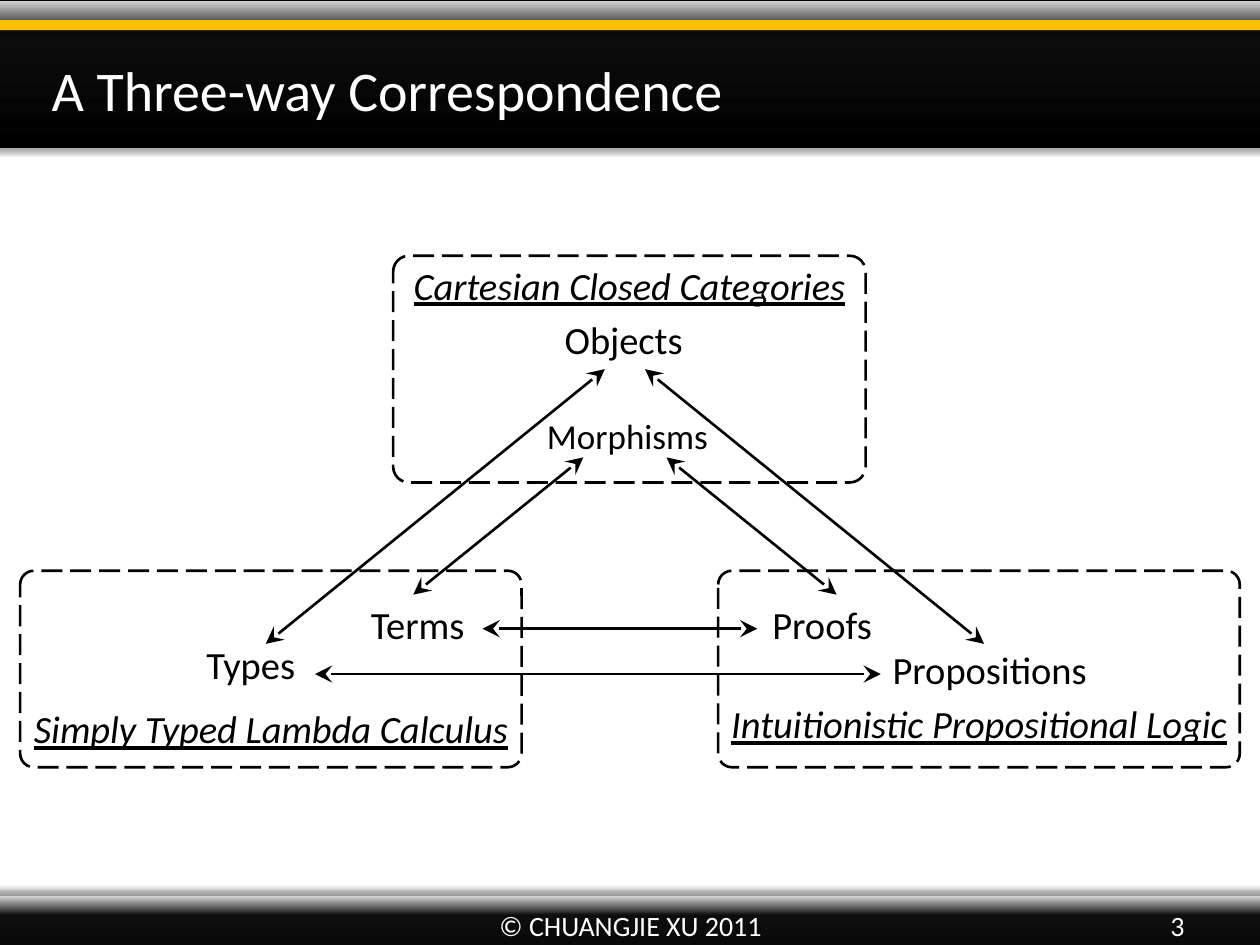
"""Build the slide that links categories, lambda calculus and logic."""
import copy

import pptx
import pptx.dml.color
import pptx.enum.dml
import pptx.enum.shapes
import pptx.enum.text
import pptx.oxml
import pptx.oxml.ns
import pptx.util

PX = 9144
BLACK = pptx.dml.color.RGBColor(0x00, 0x00, 0x00)
CHARCOAL = pptx.dml.color.RGBColor(0x0D, 0x0D, 0x0D)
SILVER = pptx.dml.color.RGBColor(0xD9, 0xD9, 0xD9)
GOLD = pptx.dml.color.RGBColor(0xFF, 0xC0, 0x00)
WHITE = pptx.dml.color.RGBColor(0xFF, 0xFF, 0xFF)
ALIGN = pptx.enum.text.PP_ALIGN
ANCHOR = pptx.enum.text.MSO_ANCHOR
SHAPE = pptx.enum.shapes.MSO_SHAPE
qn = pptx.oxml.ns.qn


def scaled(*lengths):
    return [length * PX for length in lengths]


def write(box, text, size, color, align, anchor=ANCHOR.TOP, wrap=True):
    frame = box.text_frame
    frame.text = text
    frame.word_wrap = wrap
    frame.auto_size = pptx.enum.text.MSO_AUTO_SIZE.NONE
    frame.vertical_anchor = anchor
    para = frame.paragraphs[0]
    para.alignment = align
    span = para.runs[0]
    span.font.name = "Calibri"
    span.font.size = pptx.util.Pt(size)
    span.font.color.rgb = color
    return span


deck = pptx.Presentation()
deck.slide_width, deck.slide_height = scaled(1000, 750)
page = deck.slides.add_slide(deck.slide_layouts[5])
shapes = page.shapes

bars = [
    ((-8, 0, 1016, 117), None, True, (35, 3.1, 1.8, 90)),
    ((-23, 16, 1039, 8), GOLD, False, (35, 3.1, 1.8, 90)),
    ((-8, 711, 1016, 70), None, False, (40, 4, 3, 270)),
]
for place, color, outlined, (opacity, blur, distance, angle) in bars:
    bar = shapes.add_shape(SHAPE.RECTANGLE, *scaled(*place))
    if color is not None:
        bar.fill.solid()
        bar.fill.fore_color.rgb = color
    else:
        bar.fill.gradient()
        bar.fill.gradient_angle = 270
        stop_list = bar._element.spPr.find(".//" + qn("a:gsLst"))
        stop_list.append(copy.deepcopy(stop_list[-1]))
        ramp = [(0, SILVER), (0.22, CHARCOAL), (1, BLACK)]
        for stop, (position, shade) in zip(bar.fill.gradient_stops, ramp):
            stop.position = position
            stop.color.rgb = shade
    if outlined:
        bar.line.color.rgb = BLACK
        bar.line.width = pptx.util.Pt(0.75)
    else:
        bar.line.fill.background()
    bar.shadow.inherit = False
    bar._element.spPr.find(qn("a:effectLst")).append(pptx.oxml.parse_xml(
        f'<a:outerShdw {pptx.oxml.ns.nsdecls("a")} blurRad="{pptx.util.Pt(blur)}" '
        f'dist="{pptx.util.Pt(distance)}" dir="{angle * 60000}" rotWithShape="0">'
        f'<a:srgbClr val="{BLACK}"><a:alpha val="{opacity * 1000}"/></a:srgbClr>'
        '</a:outerShdw>'))

title = shapes.title
title.left, title.top, title.width, title.height = scaled(31, 39, 734, 64)
write(title, "A Three-way Correspondence", 32, WHITE, ALIGN.LEFT)
title._element.getparent().append(title._element)

footers = [
    ("3", (717, 714, 233, 40), ALIGN.RIGHT),
    ("© CHUANGJIE XU 2011", (342, 714, 317, 40), ALIGN.CENTER),
]
for text, place, align in footers:
    box = shapes.add_textbox(*scaled(*place))
    write(box, text, 16, WHITE, align, ANCHOR.MIDDLE)

theories = [
    ("Cartesian Closed Categories", (312, 203, 375, 180), 203),
    ("Simply Typed Lambda Calculus", (16, 453, 398, 156), 555),
    ("Intuitionistic Propositional Logic", (570, 453, 414, 156), 551),
]
for name, place, heading_top in theories:
    frame = shapes.add_shape(SHAPE.ROUNDED_RECTANGLE, *scaled(*place))
    frame.adjustments[0] = 0.07
    frame.fill.background()
    frame.line.color.rgb = BLACK
    frame.line.width = pptx.util.Pt(1.5)
    frame.line.dash_style = pptx.enum.dml.MSO_LINE.LONG_DASH
    frame.shadow.inherit = False
    heading = shapes.add_textbox(*scaled(place[0], heading_top, place[2], 47))
    span = write(heading, name, 22, BLACK, ALIGN.CENTER, wrap=False)
    span.font.italic = True
    span.font.underline = True

concepts = [
    ("Objects", (430, 246, 130, 47), 22),
    ("Morphisms", (412, 324, 172, 44), 20),
    ("Types", (148, 504, 102, 47), 22),
    ("Terms", (273, 472, 117, 47), 22),
    ("Proofs", (594, 472, 117, 47), 22),
    ("Propositions", (688, 508, 195, 47), 22),
]
for name, place, size in concepts:
    box = shapes.add_textbox(*scaled(*place))
    write(box, name, size, BLACK, ALIGN.CENTER, wrap=False)

correspondences = [
    (211, 511, 480, 293),
    (781, 511, 512, 293),
    (250, 535, 699, 535),
    (328, 472, 463, 363),
    (664, 472, 529, 363),
    (383, 499, 601, 499),
]
for ends in correspondences:
    arrow = shapes.add_connector(
        pptx.enum.shapes.MSO_CONNECTOR.STRAIGHT, *scaled(*ends))
    arrow.line.color.rgb = BLACK
    arrow.line.width = pptx.util.Pt(1.5)
    outline = arrow.line._get_or_add_ln()
    for tag in ("a:headEnd", "a:tailEnd"):
        tip = pptx.oxml.parse_xml(
            f'<{tag} {pptx.oxml.ns.nsdecls("a")} type="stealth" w="lg" len="lg"/>')
        outline.append(tip)
    arrow._element.spPr.append(pptx.oxml.parse_xml(
        f'<a:effectLst {pptx.oxml.ns.nsdecls("a")}/>'))

deck.save("out.pptx")
